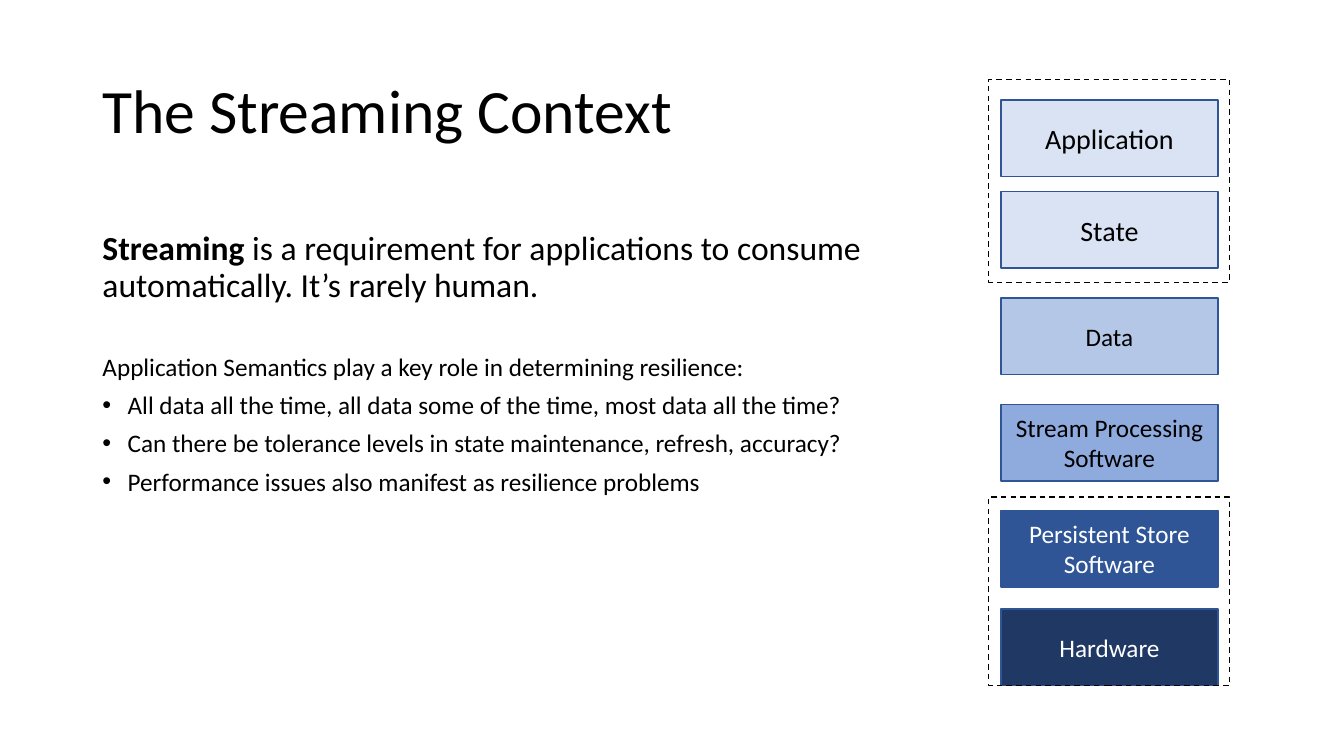
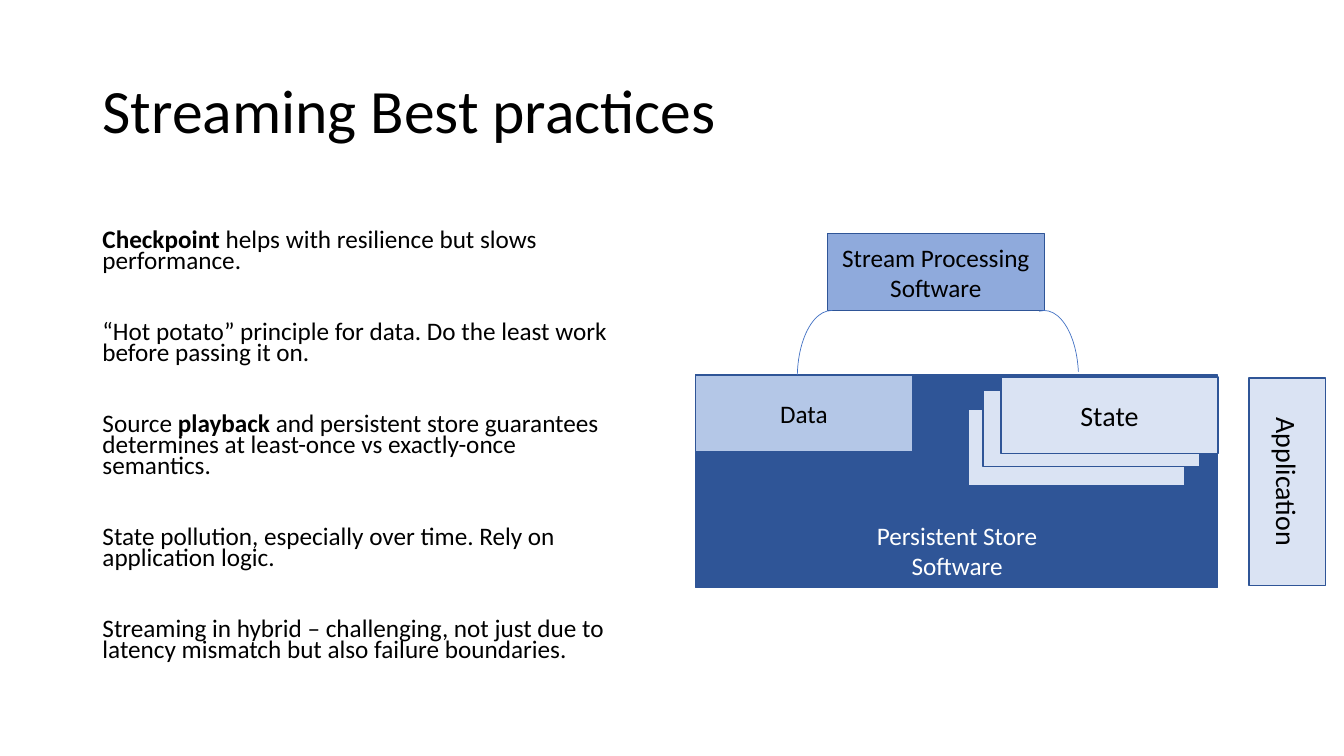
from pptx import Presentation
from pptx.dml.color import RGBColor
from pptx.enum import dml, shapes, text
from pptx.oxml.ns import qn
from pptx.util import Pt
from lxml import etree

INK = {"black": "000000", "white": "FFFFFF", "pale": "DAE3F3",
       "light": "B4C7E7", "mid": "8FAADC", "deep": "2F5597",
       "navy": "203864", "arc": "4472C4"}
FONT = "Calibri"
BOX = (155, 54.7)
TITLE = (66, 28.8, 828, 104.4)

# Boxes by name: text, fill, text colour, size
KINDS = {
    "app": ("Application", "pale", "black", 20),
    "state": ("State", "pale", "black", 20),
    "data": ("Data", "light", "black", 18),
    "stream": ("Stream Processing Software", "mid", "black", 18),
    "store": ("Persistent Store Software", "deep", "white", 18),
    "hard": ("Hardware", "navy", "white", 18),
    "card": ("", "pale", "black", 20),
}

# Paragraphs: text with **bold** parts, then format
CONTEXT = [
    ("**Streaming **is a requirement for applications to consume "
     "automatically. It’s rarely human.", dict(size=24, line=0.9)),
    ("Application Semantics play a key role in determining resilience:",
     dict(line=0.8, before=37.6)),
    ("All data all the time, all data some of the time, most data all "
     "the time?", dict(line=0.8, bullet=True)),
    ("Can there be tolerance levels in state maintenance, refresh, "
     "accuracy?", dict(line=0.8, bullet=True)),
    ("Performance issues also manifest as resilience problems",
     dict(line=0.8, bullet=True)),
]
HABITS = [
    "**Checkpoint** helps with resilience but slows performance.",
    "“Hot potato” principle for data. Do the least work before passing "
    "it on.",
    "Source **playback** and persistent store guarantees determines at "
    "least-once vs exactly-once semantics.",
    "State pollution, especially over time. Rely on application logic.",
    "Streaming in hybrid – challenging, not just due to latency mismatch "
    "but also failure boundaries.",
]
STACK_X = 715
STACK = [("app", 71.4), ("state", 136.8), ("data", 213), ("stream", 288.8),
         ("store", 364.5), ("hard", 434.9)]
FRAMES = [(56.9, 144.7), (355, 134.6)]
STORE = (496.8, 267.8, 373, 152)
PARTS = [("data", 496.8, 267.8), ("stream", 591, 167), ("card", 691.4, 292.3),
         ("card", 702.2, 278.6), ("state", STACK_X, 269.3)]
ARCS = [(569.5, 111.2, 162.37), (721.4, 159.43, 209.78)]


def tint(name):
    """Return the named colour."""
    return RGBColor.from_string(INK[name])


def put(frame, words, size=18, ink="black", align="LEFT", line=None,
        before=0, bullet=None):
    """Write one paragraph, with **bold** parts, at the end of a frame."""
    para = frame.paragraphs[0]
    if para.runs:
        para = frame.add_paragraph()
    para.alignment = getattr(text.PP_ALIGN, align)
    para.space_before = Pt(before)
    if line:
        para.line_spacing = line
    if bullet is not None:
        props = para._p.get_or_add_pPr()
        step = Pt(18) if bullet else 0
        props.set("marL", str(step))
        props.set("indent", str(-step))
        if bullet:
            face = etree.SubElement(props, qn("a:buFont"))
            face.set("typeface", "Arial")
        mark = etree.SubElement(props, qn("a:buChar" if bullet else "a:buNone"))
        if bullet:
            mark.set("char", "•")
    for i, part in enumerate(words.split("**")):
        if part:
            run = para.add_run()
            run.text = part
            font = run.font
            font.name, font.size, font.bold = FONT, Pt(size), i % 2 == 1
            font.color.rgb = tint(ink)


def place(shape, left, top, width, height):
    """Move and size a shape in points."""
    shape.left, shape.top = Pt(left), Pt(top)
    shape.width, shape.height = Pt(width), Pt(height)


def draw(slide, area, fill=None, edge="deep", weight=1, form="RECTANGLE"):
    """Add a preset shape without shadow."""
    shape = slide.shapes.add_shape(getattr(shapes.MSO_SHAPE, form),
                                   *map(Pt, area))
    shape.shadow.inherit = False
    if fill:
        shape.fill.solid()
        shape.fill.fore_color.rgb = tint(fill)
    else:
        shape.fill.background()
    shape.line.color.rgb = tint(edge)
    shape.line.width = Pt(weight)
    return shape


def block(slide, kind, left, top, width=BOX[0]):
    """Add one labelled box of the given kind."""
    label, fill, ink, size = KINDS[kind]
    shape = draw(slide, (left, top, width, BOX[1]), fill)
    if label:
        frame = shape.text_frame
        frame.word_wrap = True
        frame.vertical_anchor = text.MSO_ANCHOR.MIDDLE
        put(frame, label, size, ink, "CENTER")
    return shape


def start(deck, title, area, items):
    """Add a slide with its title and body text."""
    slide = deck.slides.add_slide(deck.slide_layouts[1])
    head, body = slide.placeholders
    place(head, *TITLE)
    place(body, *area)
    for shape in (head, body):
        shape.text_frame.word_wrap = True
        shape.text_frame.auto_size = text.MSO_AUTO_SIZE.NONE
    head.text_frame.vertical_anchor = text.MSO_ANCHOR.MIDDLE
    put(head.text_frame, title, 44, line=0.9)
    for words, look in items:
        put(body.text_frame, words, **{"before": 10, "bullet": False, **look})
    return slide


def context(deck):
    """Build the slide with the stack of layers."""
    slide = start(deck, "The Streaming Context", (66, 162, 597, 300), CONTEXT)
    for kind, top in STACK:
        block(slide, kind, STACK_X, top)
    for top, height in FRAMES:
        frame = draw(slide, (706.3, top, 172, height), edge="black")
        frame.line.dash_style = dml.MSO_LINE.DASH


def habits(deck):
    """Build the slide with the store diagram."""
    items = [(words, dict(line=0.7, before=35.4 if i else 10))
             for i, words in enumerate(HABITS)]
    slide = start(deck, "Streaming Best practices", (66, 162, 376, 340), items)
    draw(slide, STORE, "deep")
    for part in PARTS:
        block(slide, *part)
    note = slide.shapes.add_textbox(*map(Pt, (618.5, 368, 130.3, 51)))
    note.text_frame.word_wrap = False
    for words in ("Persistent Store", "Software"):
        put(note.text_frame, words, ink="white", align="CENTER")
    for left, first, last in ARCS:
        arc = draw(slide, (left, 221.8, 49, 96.5), None, "arc", 0.5, "ARC")
        arc.adjustments[0], arc.adjustments[1] = first, last
    block(slide, "app", 845.3, 316.8, 148.3).rotation = 90


deck = Presentation()
deck.slide_width, deck.slide_height = Pt(960), Pt(540)
context(deck)
habits(deck)
deck.save("out.pptx")
